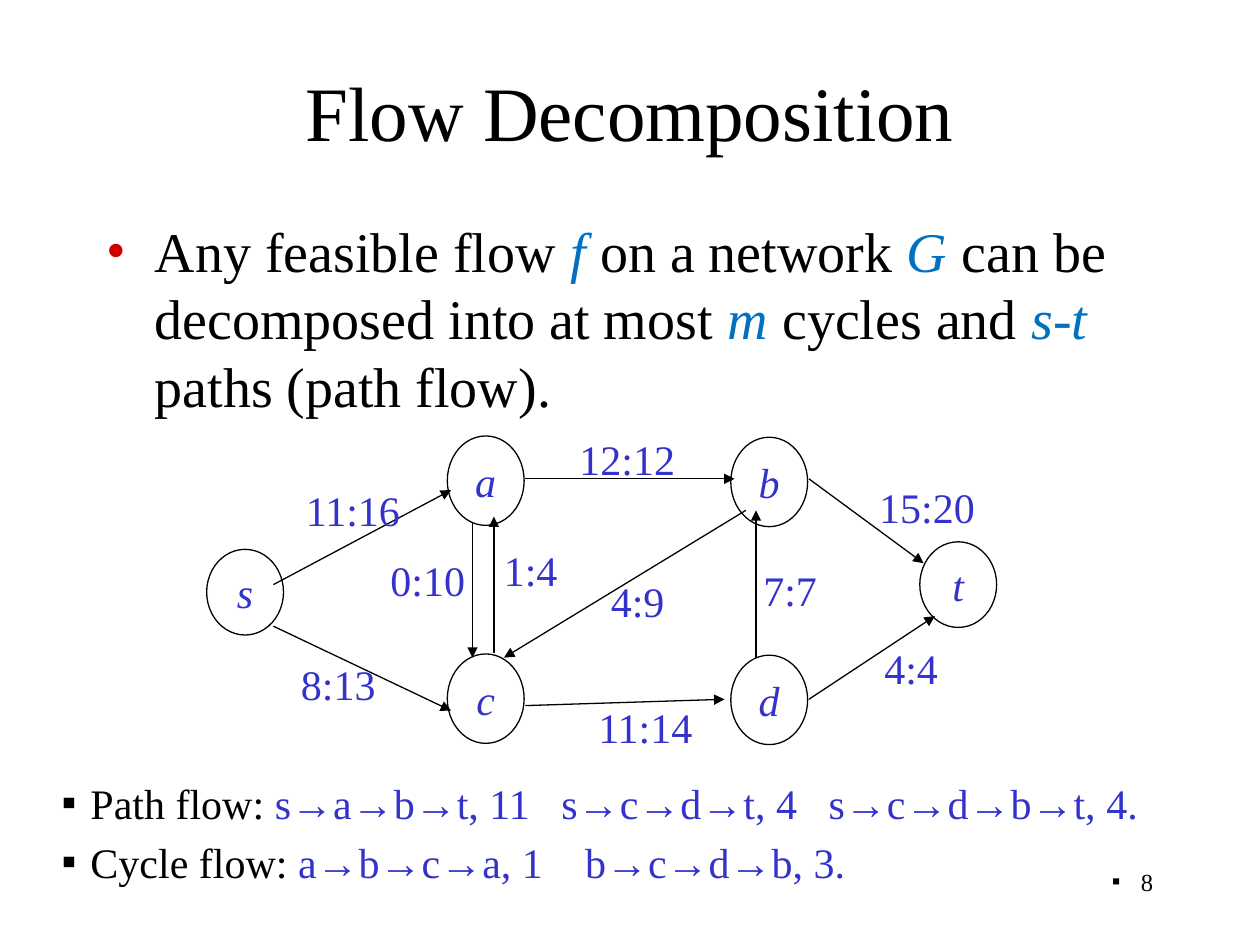
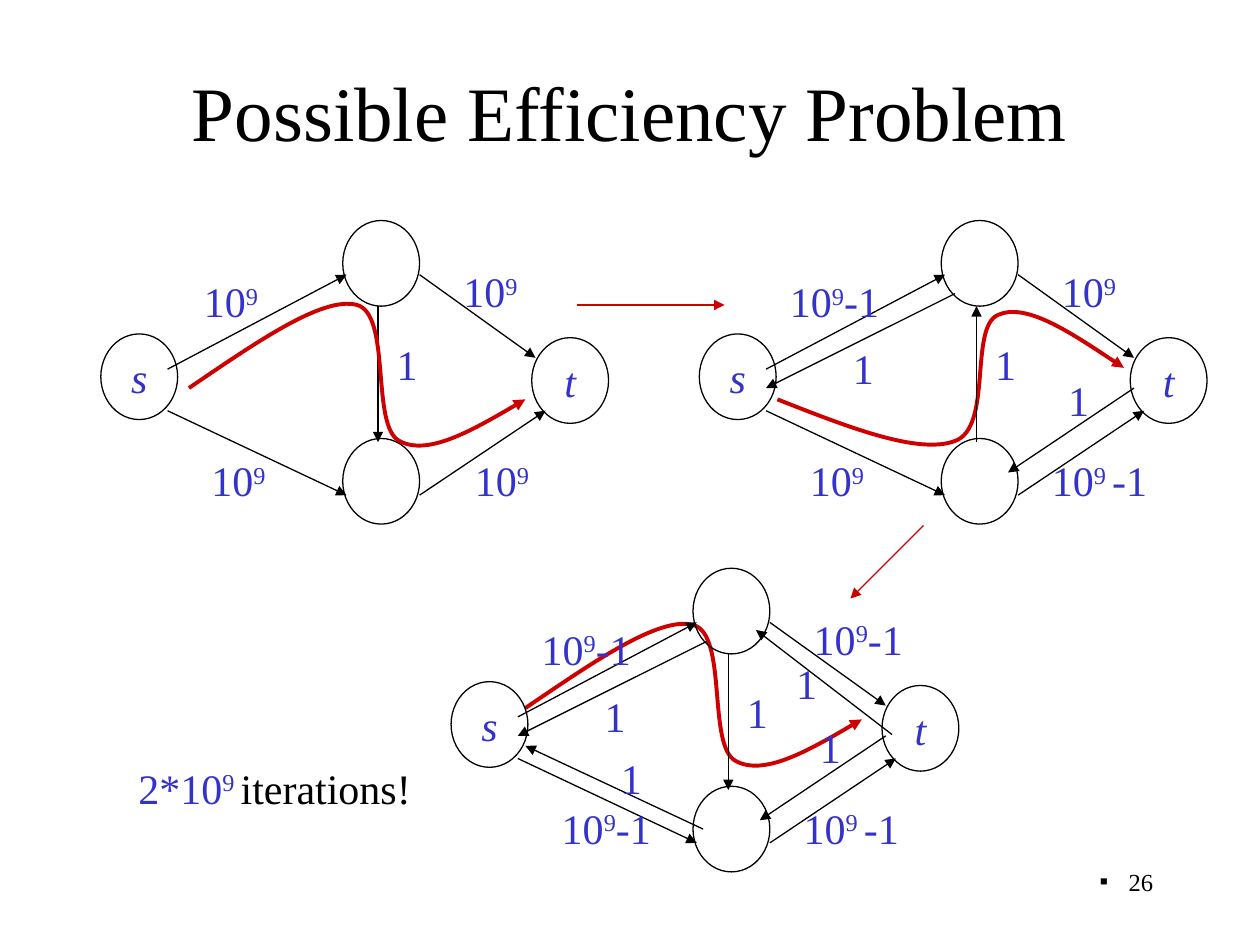
from lxml.etree import SubElement
from pptx import Presentation
from pptx.dml.color import RGBColor
from pptx.enum.shapes import MSO_CONNECTOR as Link, MSO_SHAPE as Preset
from pptx.enum.text import MSO_ANCHOR as Anchor, PP_ALIGN as Align
from pptx.oxml.ns import qn
from pptx.util import Inches, Pt

FONT = "Times New Roman"
BLACK = RGBColor(0x00, 0x00, 0x00)
BLUE = RGBColor(0x33, 0x33, 0xCC)
SKY = RGBColor(0x00, 0x70, 0xC0)
RED = RGBColor(0xCE, 0x00, 0x00)
NODE_W = 0.61
LABEL_H = 0.5

MATH = dict(color=SKY, italic=True)
STATEMENT = [
    ("Any feasible flow ", {}), ("f ", MATH), ("on a network ", {}), ("G", MATH),
    (" can be decomposed into at most ", {}), ("m", MATH), (" cycles and ", {}),
    ("s", MATH), ("-", dict(color=SKY)), ("t", MATH), (" paths (path flow).", {}),
]
FLOW_NODES = [
    ("s", 1.64, 4.36, 0.68), ("a", 3.55, 3.46, 0.71), ("c", 3.55, 5.19, 0.71),
    ("b", 5.8, 3.47, 0.71), ("d", 5.8, 5.2, 0.71), ("t", 7.3, 4.3, 0.68),
]
FLOW_EDGES = [
    ((2.17, 4.64), (3.58, 3.89)), ((2.17, 4.97), (3.58, 5.64)),
    ((4.17, 5.6), (5.75, 5.55)), ((6.42, 5.55), (7.42, 4.89)),
    ((4.17, 3.8), (5.83, 3.8)), ((6.42, 3.8), (7.33, 4.47)),
    ((3.92, 5.18), (3.92, 4.1)), ((5.92, 4.05), (4, 5.22)),
    ((6, 5.22), (6, 4.05)), ((3.75, 4.14), (3.75, 5.22)),
]
FLOW_LABELS = [
    ("11:16", 2.33, 3.8), ("0:10", 3, 4.35), ("8:13", 2.29, 5.18), ("1:4", 3.9, 4.27),
    ("4:9", 4.75, 4.52), ("12:12", 4.5, 3.39), ("7:7", 5.96, 4.43),
    ("15:20", 6.88, 3.77), ("4:4", 6.92, 5.05), ("11:14", 4.65, 5.52),
]
FLOW_LABEL_W = {3: 0.63, 4: 0.79, 5: 0.96}
IN_BLUE = dict(color=BLUE)
DECOMPOSITION = [
    [("Path flow: ", {}), ("s→a→b→t, 11", IN_BLUE), (" ", dict(spread=12)),
     ("s→c→d→t, 4", IN_BLUE), (" ", dict(spread=12)), ("s→c→d→b→t, 4.", IN_BLUE)],
    [("Cycle flow: ", {}), ("a→b→c→a, 1", IN_BLUE), (" ", dict(spread=18)),
     ("b→c→d→b, 3.", IN_BLUE)],
]

SUP = dict(raised=True)
CAPACITIES = {
    "one": ([("1", {})], 0.37),
    "full": ([("10", {}), ("9", SUP)], 0.65),
    "less": ([("10", {}), ("9", SUP), ("-1", {})], 0.92),
    "less spaced": ([("10", {}), ("9 ", SUP), ("-1", {})], 0.98),
}
ITERATIONS = [("2*10", IN_BLUE), ("9 ", dict(color=BLUE, raised=True)), ("iterations!", {})]
DIAMOND_NODES = [("s", 0.8, 2.65), ("", 2.72, 1.75), ("", 2.72, 3.48), ("t", 4.22, 2.68)]
DIAMOND_EDGES = [
    ((1.33, 2.93), (2.75, 2.18)), ((1.33, 3.26), (2.75, 3.93)),
    ((3.33, 3.93), (4.33, 3.26)), ((3.33, 2.18), (4.25, 2.84)),
]
DOWN = [((3, 2.43), (3, 3.51))]
UP = [((3, 3.51), (3, 2.43))]
RETURN_EDGES = [((2.83, 2.33), (1.33, 3.08)), ((4.25, 3.08), (3.25, 3.75))]
LATE_EDGES = [((2.8, 3.82), (1.39, 3.16)), ((4.3, 3.07), (3.22, 2.24))]
MIDDLE_LABEL = [("one", 3.05, 2.64)]
RETURN_LABELS = [("one", 1.92, 2.67), ("one", 3.63, 2.92)]
NETWORKS = [
    dict(offset=(0, 0), edges=DOWN, labels=MIDDLE_LABEL + [
        ("full", 1.52, 2.14), ("full", 3.58, 2.06),
        ("full", 1.58, 3.56), ("full", 3.67, 3.56)]),
    dict(offset=(4.75, 0), edges=UP + RETURN_EDGES, labels=MIDDLE_LABEL + RETURN_LABELS + [
        ("less", 1.42, 2.14), ("full", 3.58, 2.06),
        ("full", 1.58, 3.56), ("less spaced", 3.5, 3.56)]),
    dict(offset=(2.78, 2.76), edges=DOWN + RETURN_EDGES + LATE_EDGES,
         labels=MIDDLE_LABEL + RETURN_LABELS + [
             ("less", 1.42, 2.14), ("less", 3.58, 2.06),
             ("less", 1.58, 3.56), ("less spaced", 3.5, 3.56),
             ("one", 3.44, 2.41), ("one", 2.05, 3.16)]),
]
DOWN_ROUTE = [
    (1.5, 3.08), (2.03, 2.72), (2.56, 2.35), (2.83, 2.42), (3.11, 2.49),
    (2.94, 3.38), (3.17, 3.5), (3.39, 3.62), (3.78, 3.4), (4.17, 3.17),
]
UP_ROUTE = [
    (6.17, 3.17), (6.73, 3.39), (7.29, 3.61), (7.58, 3.5), (7.88, 3.39),
    (7.69, 2.6), (7.92, 2.5), (8.14, 2.4), (8.53, 2.66), (8.92, 2.92),
]
ROUTES = [(DOWN_ROUTE, 0, 0), (UP_ROUTE, 0, 0), (DOWN_ROUTE, 2.67, 2.54)]
STEPS = [((4.58, 2.42), (5.75, 2.42)), ((7.33, 4.17), (6.75, 4.75))]


def add_bullet(paragraph, mark, indent, color):
    props = paragraph._p.get_or_add_pPr()
    props.set("marL", str(Inches(indent)))
    props.set("indent", str(-Inches(indent)))
    SubElement(SubElement(props, qn("a:buClr")), qn("a:srgbClr"), val=str(color))
    SubElement(props, qn("a:buFont"), typeface=FONT)
    SubElement(props, qn("a:buChar"), char=mark)


def write(frame, paragraphs, size=24, color=BLACK, italic=False, align=Align.LEFT,
          anchor=Anchor.TOP, wrap=True, before=0, bullet=None):
    frame.word_wrap = wrap
    frame.vertical_anchor = anchor
    for index, runs in enumerate(paragraphs):
        paragraph = frame.add_paragraph() if index else frame.paragraphs[0]
        paragraph.alignment = align
        paragraph.space_before = Pt(before)
        if bullet:
            add_bullet(paragraph, *bullet)
        for words, style in runs:
            run = paragraph.add_run()
            run.text = words
            run.font.name = FONT
            run.font.size = Pt(size)
            run.font.color.rgb = style.get("color", color)
            run.font.italic = style.get("italic", italic)
            props = run._r.get_or_add_rPr()
            if style.get("raised"):
                props.set("baseline", "30000")
            if "spread" in style:
                props.set("spc", str(style["spread"] * 100))


def add_text(slide, box, paragraphs, **style):
    write(slide.shapes.add_textbox(*map(Inches, box)).text_frame, paragraphs, **style)


def stroke(shape, color, width, arrow=True):
    shape.line.color.rgb = color
    shape.line.width = Pt(width)
    if arrow:
        SubElement(shape._element.spPr.find(qn("a:ln")), qn("a:tailEnd"), type="triangle")


def add_node(slide, name, x, y, height=0.68):
    node = slide.shapes.add_shape(Preset.OVAL, *map(Inches, (x, y, NODE_W, height)))
    node.shadow.inherit = False
    node.fill.background()
    stroke(node, BLACK, 0.75, arrow=False)
    if name:
        frame = node.text_frame
        frame.margin_left = frame.margin_right = frame.margin_top = frame.margin_bottom = 0
        write(frame, [[(name, {})]], color=BLUE, italic=True,
              align=Align.CENTER, anchor=Anchor.MIDDLE)


def add_arrow(slide, start, end, color=BLACK, dx=0, dy=0):
    ends = [start[0] + dx, start[1] + dy, end[0] + dx, end[1] + dy]
    arrow = slide.shapes.add_connector(Link.STRAIGHT, *map(Inches, ends))
    stroke(arrow, color, 0.75)
    SubElement(arrow._element.spPr, qn("a:effectLst"))


def add_route(slide, points, dx, dy):
    start, *controls = [(Inches(x + dx), Inches(y + dy)) for x, y in points]
    builder = slide.shapes.build_freeform(*start)
    builder.add_line_segments(controls, close=False)
    route = builder.convert_to_shape()
    route.shadow.inherit = False
    route.fill.background()
    stroke(route, RED, 2.25)
    outline = next(route._element.iter(qn("a:path")))
    segments = outline.findall(qn("a:lnTo"))
    for first in range(0, len(segments), 3):
        curve = SubElement(outline, qn("a:cubicBezTo"))
        for segment in segments[first:first + 3]:
            curve.append(segment[0])
            outline.remove(segment)


def add_network(slide, offset, edges, labels):
    dx, dy = offset
    for name, x, y in DIAMOND_NODES:
        add_node(slide, name, x + dx, y + dy)
    for start, end in DIAMOND_EDGES + edges:
        add_arrow(slide, start, end, dx=dx, dy=dy)
    for kind, x, y in labels:
        runs, width = CAPACITIES[kind]
        add_text(slide, (x + dx, y + dy, width, LABEL_H), [runs], color=BLUE, wrap=False)


def start_slide(deck, title, number):
    slide = deck.slides.add_slide(deck.slide_layouts[6])
    add_text(slide, (0.75, 0.25, 8.5, 1.25), [[(title, {})]], size=44,
             align=Align.CENTER, anchor=Anchor.MIDDLE)
    add_text(slide, (7.17, 6.83, 2.08, 0.5), [[(number, {})]], size=14,
             align=Align.RIGHT, bullet=("▪", 0.23, BLACK))
    return slide


def build_decomposition(deck):
    slide = start_slide(deck, "Flow Decomposition", "8")
    add_text(slide, (0.75, 1.67, 8.5, 5), [STATEMENT], size=32, before=6.4,
             bullet=("•", 0.38, RED))
    for node in FLOW_NODES:
        add_node(slide, *node)
    for start, end in FLOW_EDGES:
        add_arrow(slide, start, end)
    for flow, x, y in FLOW_LABELS:
        add_text(slide, (x, y, FLOW_LABEL_W[len(flow)], LABEL_H), [[(flow, {})]],
                 color=BLUE, wrap=False)
    add_text(slide, (0.39, 6.12, 9.53, 0.99), DECOMPOSITION, before=4.8,
             bullet=("▪", 0.23, BLACK))


def build_efficiency(deck):
    slide = start_slide(deck, "Possible Efficiency Problem", "26")
    first, *later = NETWORKS
    add_network(slide, **first)
    for route in ROUTES:
        add_route(slide, *route)
    add_text(slide, (1, 6, 2.38, LABEL_H), [ITERATIONS], wrap=False)
    for network in later:
        add_network(slide, **network)
    for start, end in STEPS:
        add_arrow(slide, start, end, color=RED)


def main():
    deck = Presentation()
    deck.slide_width, deck.slide_height = Inches(10), Inches(7.5)
    build_decomposition(deck)
    build_efficiency(deck)
    deck.save("out.pptx")


if __name__ == "__main__":
    main()
